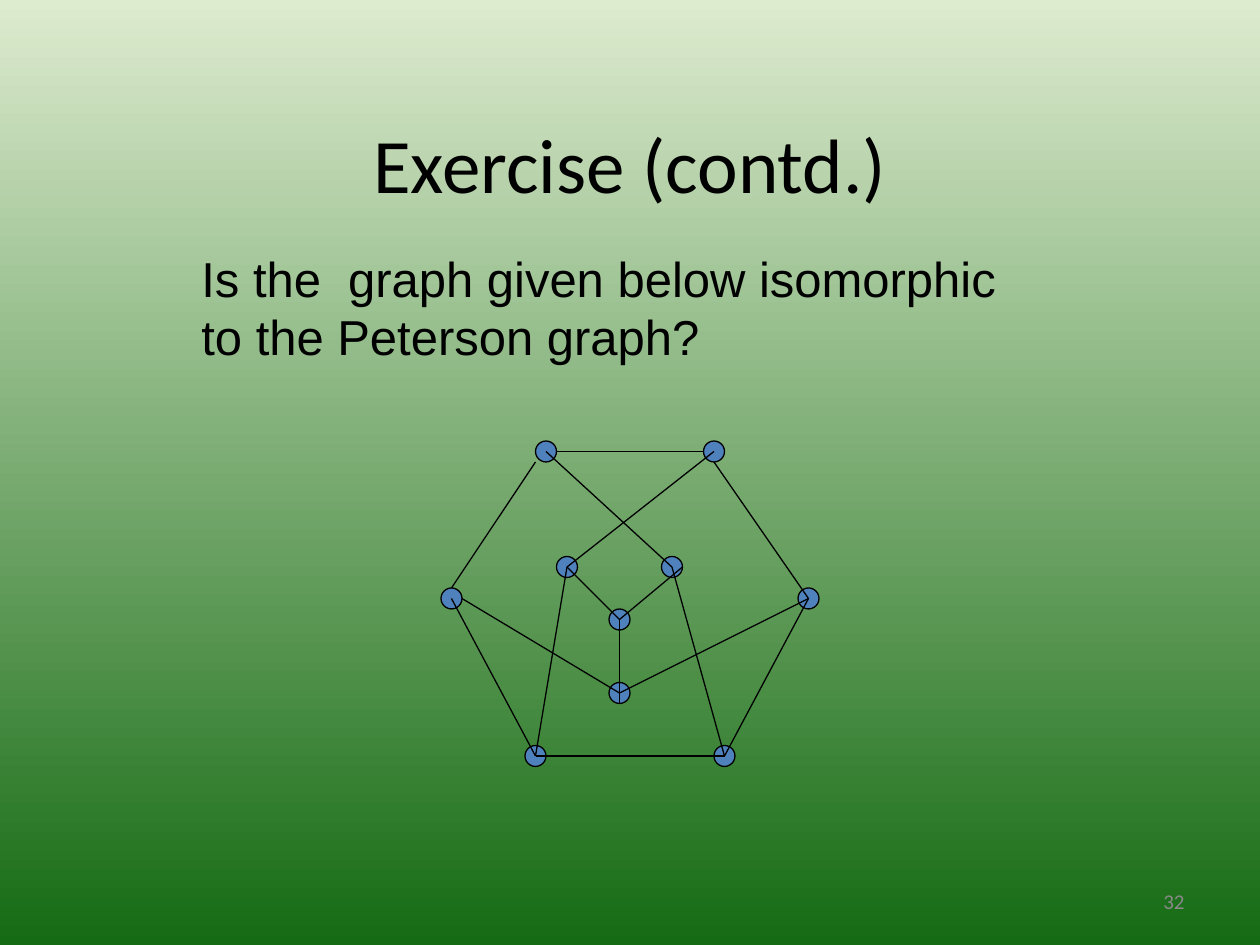
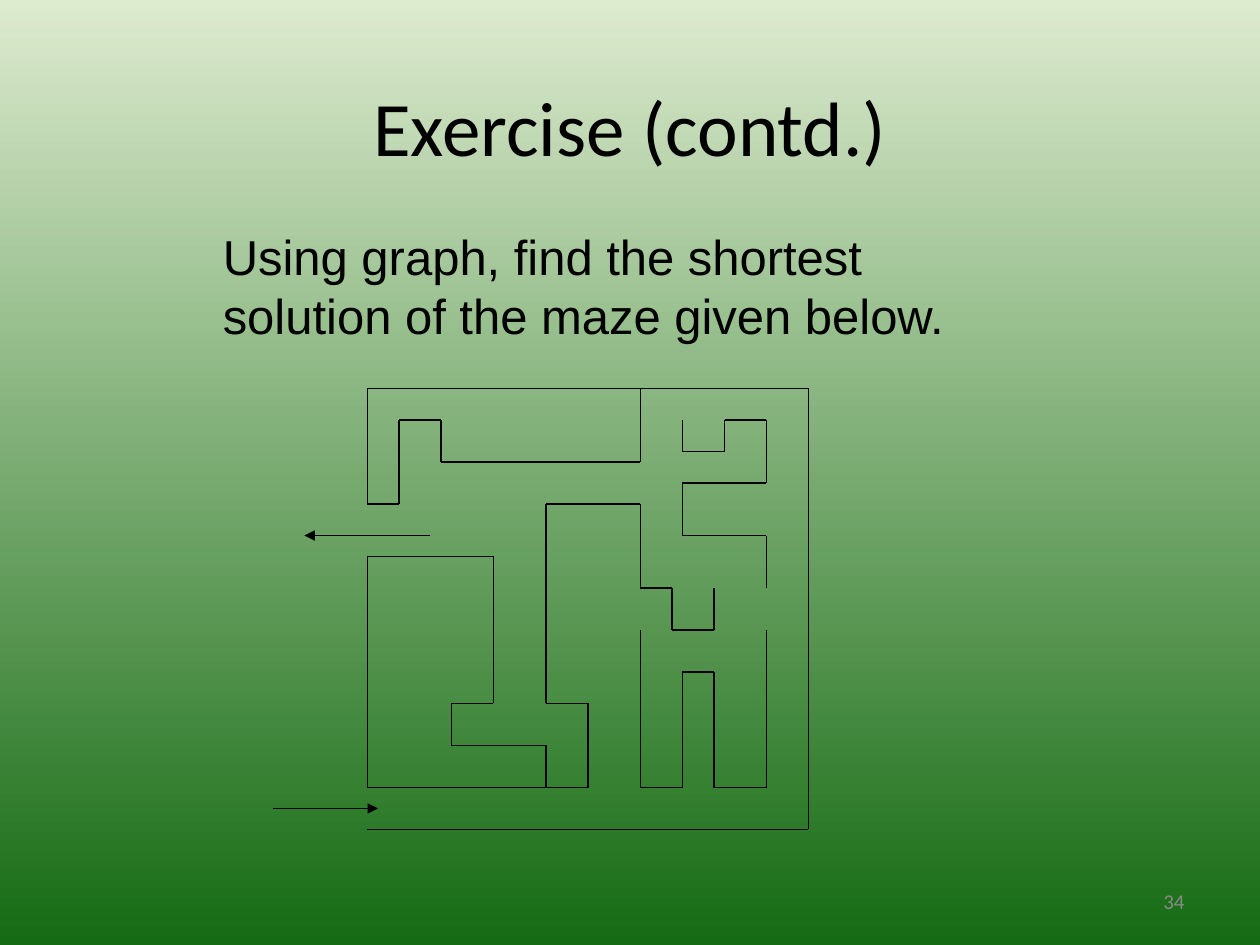
from itertools import pairwise

from lxml import etree
from pptx import Presentation
from pptx import util as u
from pptx.dml.color import RGBColor
from pptx.enum import shapes, text
from pptx.oxml.ns import qn

# Content: drawings are measured in twelfths of an inch
TITLE = "Exercise (contd.)"
EXERCISES = [
    {"number": "32", "title_top": 0.88, "box": (1.5, 1.92, 6.92, 1.04),
     "question": "Is the  graph given below isomorphic to the Peterson graph?"},
    {"number": "34", "title_top": 0.58, "box": (1.67, 1.75, 6.33, 1.04),
     "question": "Using graph, find the shortest solution of the maze given below."},
]

# Vertex centres
VERTICES = {
    "west": (43, 57), "east": (77, 57), "north east": (68, 43), "north west": (52, 43),
    "inner left": (54, 54), "south west": (51, 72), "south east": (69, 72),
    "inner right": (64, 54), "inner bottom": (59, 66), "hub": (59, 59),
}
# Start, end, and how far each end lies from its vertex centre
CENTRE = (0, 0)
EDGES = [
    ("hub", "inner bottom", CENTRE, (0, 1)),
    ("north west", "west", (-1, 1), (0, -1)),
    ("north west", "north east", (1, 0), (-1, 0)),
    ("north east", "east", (0, 1), CENTRE),
    ("east", "south east", CENTRE, CENTRE),
    ("south east", "south west", CENTRE, CENTRE),
    ("south west", "west", CENTRE, CENTRE),
    ("north west", "inner right", CENTRE, CENTRE),
    ("north east", "inner left", CENTRE, CENTRE),
    ("inner left", "hub", CENTRE, CENTRE),
    ("hub", "inner right", CENTRE, (1, 0)),
    ("west", "inner bottom", (1, 0), CENTRE),
    ("inner bottom", "east", CENTRE, CENTRE),
    ("inner left", "south west", CENTRE, CENTRE),
    ("inner right", "south east", CENTRE, CENTRE),
]

# Each wall is a chain of corners
WALLS = [
    [(35, 79), (77, 79), (77, 37), (35, 37), (35, 48), (38, 48), (38, 40),
     (42, 40), (42, 44), (61, 44), (61, 37)],
    [(35, 75), (56, 75), (56, 67), (52, 67), (52, 48), (61, 48), (61, 56),
     (64, 56), (64, 60), (68, 60), (68, 56)],
    [(35, 75), (35, 53), (47, 53), (47, 67), (43, 67), (43, 71), (52, 71), (52, 75)],
    [(61, 60), (61, 75), (65, 75), (65, 64), (68, 64), (68, 75), (73, 75), (73, 60)],
    [(73, 56), (73, 51), (65, 51), (65, 46), (73, 46), (73, 40), (69, 40),
     (69, 43), (65, 43), (65, 40)],
]
ARROWS = [((26, 77), (36, 77)), ((41, 51), (29, 51))]

# Shared style
BLACK, GREY, BLUE = "000000", "898989", "4F81BD"
SKY, GRASS = "DDEBCF", "156B13"
LINE_WIDTH = u.Pt(0.75)
ALIGN, ANCHOR = text.PP_ALIGN, text.MSO_ANCHOR


def colour(value):
    return RGBColor.from_string(value)


def grid(count):
    return u.Inches(count / 12)


def format_text(shape, words, font, size, shade, align, anchor):
    frame = shape.text_frame
    frame.text = words
    frame.word_wrap = True
    frame.vertical_anchor = anchor
    para = frame.paragraphs[0]
    para.alignment = align
    span = para.runs[0]
    span.font.name = font
    span.font.size = u.Pt(size)
    span.font.color.rgb = colour(shade)


def add_text(page, box, *style):
    shape = page.shapes.add_textbox(*map(u.Inches, box))
    format_text(shape, *style)
    return shape


def add_line(page, start, end, arrow=False):
    line = page.shapes.add_connector(
        shapes.MSO_CONNECTOR.STRAIGHT, *map(grid, start + end))
    line.line.color.rgb = colour(BLACK)
    line.line.width = LINE_WIDTH
    if arrow:
        etree.SubElement(line.line._get_or_add_ln(), qn("a:tailEnd"), type="triangle")
    etree.SubElement(line._element.spPr, qn("a:effectLst"))


def paint_background(master):
    fill = master.background.fill
    fill.gradient()
    fill.gradient_angle = 270
    for stop, shade in zip(fill.gradient_stops, (SKY, GRASS)):
        stop.color.rgb = colour(shade)


def add_page(deck, exercise):
    page = deck.slides.add_slide(deck.slide_layouts[5])
    add_text(page, (7.17, 6.95, 2.33, 0.4), exercise["number"],
             "Calibri", 12, GREY, ALIGN.RIGHT, ANCHOR.MIDDLE)
    title = page.shapes.title
    title.left, title.top = u.Inches(0.75), u.Inches(exercise["title_top"])
    title.width, title.height = u.Inches(8.5), u.Inches(0.83)
    format_text(title, TITLE, "Calibri", 44, BLACK, ALIGN.CENTER, ANCHOR.MIDDLE)
    question = add_text(page, exercise["box"], exercise["question"],
                        "Arial", 28, BLACK, ALIGN.LEFT, ANCHOR.TOP)
    question.text_frame.auto_size = text.MSO_AUTO_SIZE.SHAPE_TO_FIT_TEXT
    return page


def draw_graph(page):
    for x, y in VERTICES.values():
        dot = page.shapes.add_shape(
            shapes.MSO_SHAPE.OVAL, grid(x - 1), grid(y - 1), grid(2), grid(2))
        dot.shadow.inherit = False
        dot.fill.solid()
        dot.fill.fore_color.rgb = colour(BLUE)
        dot.line.color.rgb = colour(BLACK)
        dot.line.width = LINE_WIDTH
    for start, end, *shifts in EDGES:
        ends = [(VERTICES[name][0] + dx, VERTICES[name][1] + dy)
                for name, (dx, dy) in zip((start, end), shifts)]
        add_line(page, *ends)


def draw_maze(page):
    for wall in WALLS:
        for start, end in pairwise(wall):
            add_line(page, start, end)
    for start, end in ARROWS:
        add_line(page, start, end, arrow=True)


def main():
    deck = Presentation()
    deck.slide_width, deck.slide_height = u.Inches(10), u.Inches(7.5)
    paint_background(deck.slide_master)
    for exercise, draw in zip(EXERCISES, (draw_graph, draw_maze)):
        draw(add_page(deck, exercise))
    deck.save("out.pptx")


if __name__ == "__main__":
    main()
